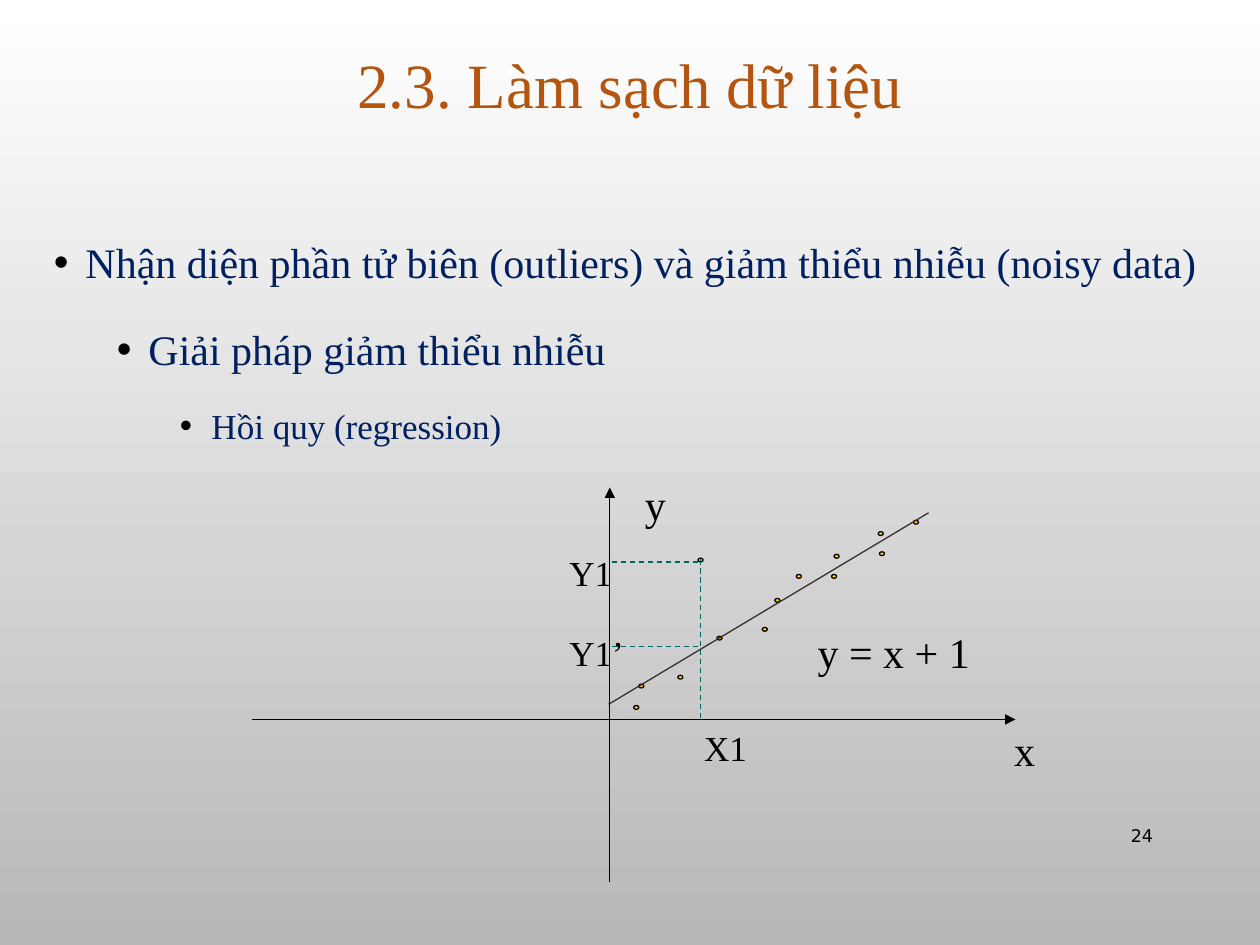
from lxml import etree
from pptx import Presentation
from pptx import util as u
from pptx.dml.color import RGBColor
from pptx.enum import dml, shapes, text
from pptx.oxml.ns import qn

COLORS = {
    "top": "FFFFFF", "bottom": "B8B8B8", "title": "B3540F", "body": "002060",
    "ink": "000000", "dot": "FFCA08", "trend": "39302A", "guide": "006666",
}
SERIF = "Times New Roman"
TITLE = "2.3. Làm sạch dữ liệu"
PAGE_NUMBER = "24"
BULLETS = [
    ("Nhận diện phần tử biên (outliers) và giảm thiểu nhiễu (noisy data)", 24, 15),
    ("Giải pháp giảm thiểu nhiễu", 24, 15),
    ("Hồi quy (regression)", 20, 12.5),
]
AXES = [((2, 5.71), (8.06, 5.71)), ((4.84, 7), (4.84, 3.87))]
TREND = ((4.83, 5.59), (7.37, 4.07))
GUIDES = [
    ((5.56, 4.44), (5.56, 5.72)),
    ((5.54, 4.46), (4.84, 4.46)),
    ((5.54, 5.13), (4.83, 5.13)),
]
DOT_SIZE = (0.04, 0.03)
DOTS = [
    (6.05, 4.98), (5.69, 5.05), (5.54, 4.43), (5.38, 5.36), (6.15, 4.75),
    (6.32, 4.56), (5.07, 5.43), (6.6, 4.56), (6.62, 4.4), (6.98, 4.38),
    (5.03, 5.6), (6.97, 4.22), (7.25, 4.13),
]
LABELS = [
    ("x", 24, (7.95, 5.7, 0.36, 0.5)),
    ("y", 24, (5.02, 3.75, 0.36, 0.5)),
    ("y = x + 1", 24, (6.39, 4.92, 1.41, 0.5)),
    ("X1", 20, (5.49, 5.72, 0.54, 0.44)),
    ("Y1", 20, (4.42, 4.33, 0.54, 0.44)),
    ("Y1’", 20, (4.42, 4.96, 0.63, 0.44)),
]


def color(name):
    return RGBColor.from_string(COLORS[name])


def inches(values):
    return [u.Inches(value) for value in values]


def add_box(parent, place, wrap=True, anchor=text.MSO_ANCHOR.TOP):
    frame = parent.add_textbox(*inches(place)).text_frame
    frame.word_wrap = wrap
    frame.vertical_anchor = anchor
    return frame


def add_span(para, words, size, ink="ink", font=SERIF):
    span = para.add_run()
    span.text = words
    span.font.size = u.Pt(size)
    span.font.name = font
    span.font.color.rgb = color(ink)


def add_bullet(para, level):
    props = para._p.get_or_add_pPr()
    props.set("marL", str(u.Inches(0.25 + 0.5 * level)))
    props.set("indent", str(u.Inches(-0.25)))
    tint = etree.SubElement(props, qn("a:buClr"))
    etree.SubElement(tint, qn("a:srgbClr"), val=COLORS["ink"])
    etree.SubElement(props, qn("a:buFont"), typeface="Arial")
    etree.SubElement(props, qn("a:buChar"), char="•")


def add_line(parent, ends, ink, arrow=False, dashed=False):
    start, end = ends
    line = parent.add_connector(
        shapes.MSO_CONNECTOR.STRAIGHT, *inches(start), *inches(end))
    line.line.color.rgb = color(ink)
    line.line.width = u.Pt(0.75)
    if dashed:
        line.line.dash_style = dml.MSO_LINE.DASH
    props = line._element.spPr
    if arrow:
        etree.SubElement(props.find(qn("a:ln")), qn("a:tailEnd"), type="triangle")
    etree.SubElement(props, qn("a:effectLst"))


def add_dot(parent, corner):
    dot = parent.add_shape(
        shapes.MSO_SHAPE.OVAL, *inches(corner), *inches(DOT_SIZE))
    dot.shadow.inherit = False
    dot.fill.solid()
    dot.fill.fore_color.rgb = color("dot")
    dot.line.color.rgb = color("ink")
    dot.line.width = u.Pt(0.75)


def add_texts(page):
    middle = text.MSO_ANCHOR.MIDDLE
    para = add_box(page.shapes, (0.75, -0.17, 8.5, 1.74), anchor=middle).paragraphs[0]
    para.alignment = text.PP_ALIGN.CENTER
    para.line_spacing = 0.9
    add_span(para, TITLE, 36, "title")

    frame = add_box(page.shapes, (0.33, 1.75, 9.42, 5.58))
    for level, (words, size, before) in enumerate(BULLETS):
        para = frame.add_paragraph() if level else frame.paragraphs[0]
        para.level = level
        para.line_spacing = 1.2
        para.space_before = u.Pt(before)
        add_bullet(para, level)
        add_span(para, words, size, "body")

    para = add_box(page.shapes, (8.62, 6.43, 0.63, 0.4), anchor=middle).paragraphs[0]
    para.alignment = text.PP_ALIGN.RIGHT
    add_span(para, PAGE_NUMBER, 10, font="DejaVu Sans")


def add_plot(page):
    plot = page.shapes.add_group_shape().shapes
    for axis in AXES:
        add_line(plot, axis, "ink", arrow=True)
    for corner in DOTS:
        add_dot(plot, corner)
    add_line(plot, TREND, "trend")
    for guide in GUIDES:
        add_line(plot, guide, "guide", dashed=True)
    for words, size, place in LABELS:
        frame = add_box(plot, place, wrap=False)
        frame.auto_size = text.MSO_AUTO_SIZE.SHAPE_TO_FIT_TEXT
        add_span(frame.paragraphs[0], words, size)


def main():
    deck = Presentation()
    deck.slide_width, deck.slide_height = inches((10, 7.5))
    page = deck.slides.add_slide(deck.slide_layouts[6])
    fill = page.background.fill
    fill.gradient()
    fill.gradient_angle = 270
    for stop, name, position in zip(fill.gradient_stops, ("top", "bottom"), (0, 1)):
        stop.color.rgb = color(name)
        stop.position = position
    add_texts(page)
    add_plot(page)
    deck.save("out.pptx")


if __name__ == "__main__":
    main()
